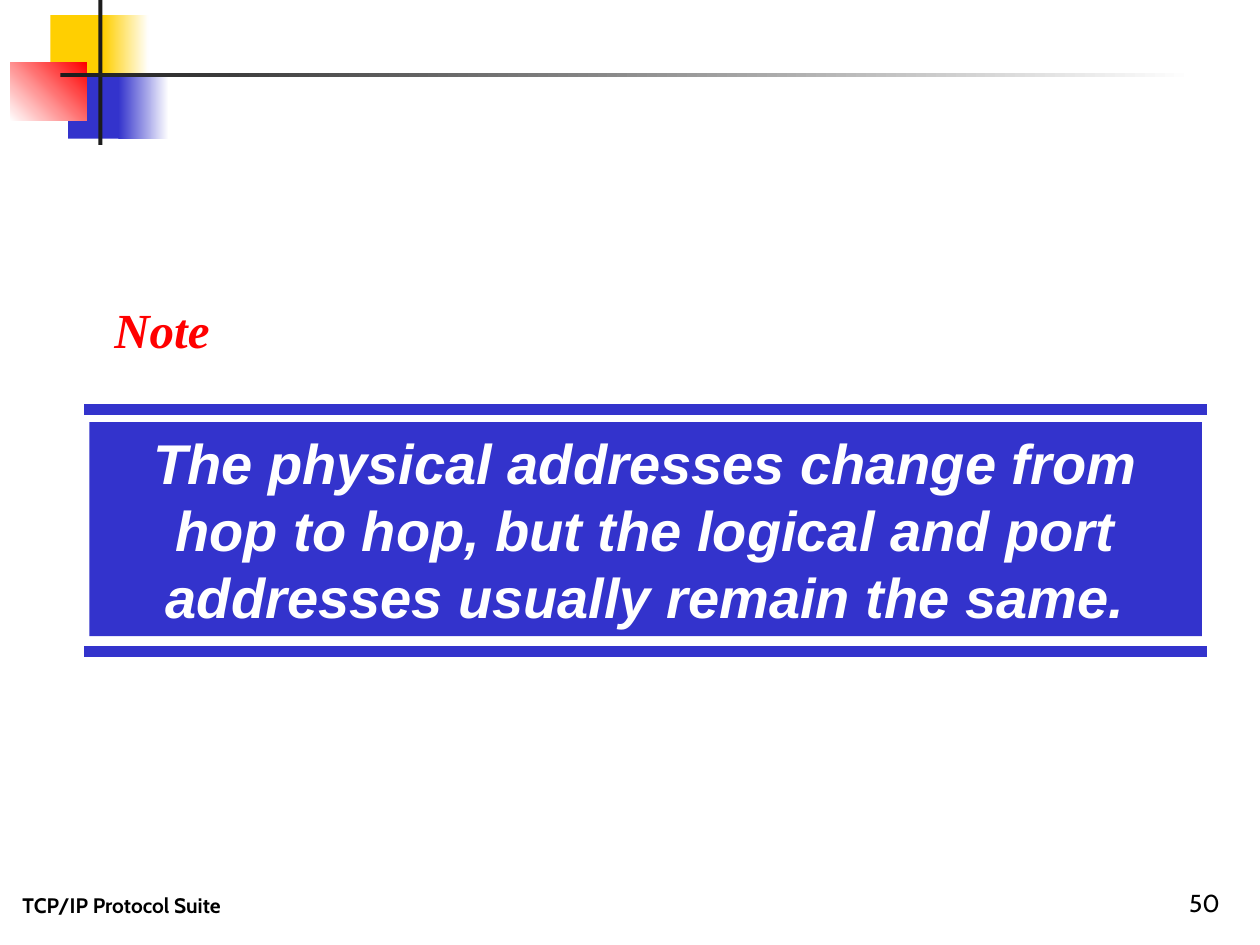
from lxml.etree import SubElement
from pptx import Presentation
from pptx.dml.color import RGBColor
from pptx.enum.shapes import MSO_CONNECTOR as Connector, MSO_SHAPE as Shape
from pptx.enum.text import MSO_ANCHOR as Anchor, PP_ALIGN as Align
from pptx.oxml.ns import qn
from pptx.util import Pt

THEME = {
    "yellow": "FFCF01", "blue": "3333CC", "red": "FF0000",
    "dark": "1C1C1C", "white": "FFFFFF", "black": "000000",
    "footer": {"name": "Cabin", "size": Pt(12), "bold": True},
    "number": {"name": "Cabin", "size": Pt(14)},
    "heading": {"name": "Times New Roman", "size": Pt(28), "bold": True, "italic": True},
    "message": {"name": "Arial", "size": Pt(32), "bold": True, "italic": True},
    "rule": 6,
}

# Left, top, width, height in points; colours; gradient angle
ORNAMENT = [
    ((28.8, 8.64, 34.56, 37.44), ["yellow"], 0),
    ((59.04, 8.64, 25.92, 37.44), ["yellow", "white"], 0),
    ((38.88, 41.76, 33.12, 37.44), ["blue"], 0),
    ((67.68, 41.76, 28.8, 37.44), ["blue", "white"], 0),
    ((5.76, 36, 43.92, 33.12), ["white", "red"], 45),
    ((56.16, 0, 2.4, 82.8), ["dark"], 0),
    ((34.56, 41.76, 648, 2.4), ["dark", "white"], 0),
]

# Text, place, type style, colour, alignment, anchor, wrap
LABELS = [
    ("TCP/IP Protocol Suite", (5.76, 491.76, 228.24, 36), "footer", "black",
     Align.LEFT, Anchor.BOTTOM, True),
    ("50", (554.4, 491.76, 149.76, 36), "number", "black",
     Align.RIGHT, Anchor.BOTTOM, True),
    ("Note", (58.32, 167.76, 69.12, 41.04), "heading", "red",
     Align.LEFT, Anchor.TOP, False),
]

MESSAGE = ("The physical addresses change from hop to hop, but the logical "
           "and port addresses usually remain the same.")
MESSAGE_PLACE = (51.12, 241.2, 635.76, 122.4)
RULE_LEFT, RULE_RIGHT = 48.24, 689.76
RULE_TOPS = [234, 372.24]


def color(name):
    return RGBColor.from_string(THEME[name])


def points(values):
    return [Pt(value) for value in values]


def add_block(page, place, colors, angle=0):
    block = page.shapes.add_shape(Shape.RECTANGLE, *points(place))
    block.shadow.inherit = False
    block.line.fill.background()
    if len(colors) == 1:
        block.fill.solid()
        block.fill.fore_color.rgb = color(colors[0])
    else:
        block.fill.gradient()
        block.fill.gradient_angle = angle
        for stop, name in zip(block.fill.gradient_stops, colors):
            stop.color.rgb = color(name)
    return block


def add_rule(page, top):
    rule = page.shapes.add_connector(
        Connector.STRAIGHT, *points((RULE_LEFT, top, RULE_RIGHT, top)))
    rule.line.color.rgb = color("blue")
    rule.line.width = Pt(THEME["rule"])
    SubElement(rule._element.spPr, qn("a:effectLst"))


def write(box, text, style, ink, align, anchor, wrap=True):
    frame = box.text_frame
    frame.word_wrap = wrap
    frame.vertical_anchor = anchor
    para = frame.paragraphs[0]
    para.alignment = align
    span = para.add_run()
    span.text = text
    for key, value in THEME[style].items():
        setattr(span.font, key, value)
    span.font.color.rgb = color(ink)


def main():
    deck = Presentation()
    deck.slide_width, deck.slide_height = Pt(720), Pt(540)
    page = deck.slides.add_slide(deck.slide_layouts[6])

    # Corner ornament
    for place, colors, angle in ORNAMENT:
        add_block(page, place, colors, angle)

    # Message between two rules
    for top in RULE_TOPS:
        add_rule(page, top)
    panel = add_block(page, MESSAGE_PLACE, ["blue"])
    write(panel, MESSAGE, "message", "white", Align.CENTER, Anchor.TOP)

    # Footer, page number and heading
    for text, place, *look in LABELS:
        write(page.shapes.add_textbox(*points(place)), text, *look)

    deck.save("out.pptx")


if __name__ == "__main__":
    main()
